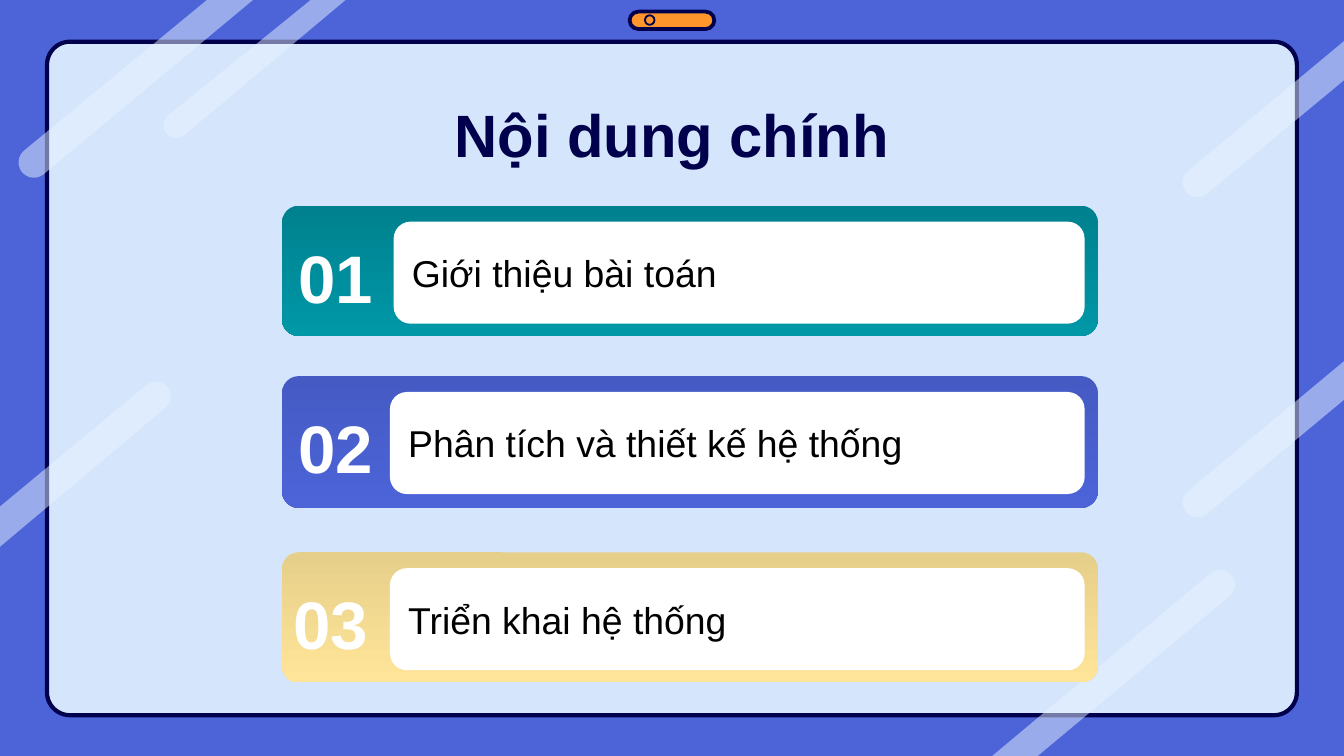
from dataclasses import dataclass
from math import cos, radians, sin

from lxml import etree
from pptx import Presentation
from pptx import util as u
from pptx.dml.color import RGBColor
from pptx.enum import shapes, text
from pptx.oxml import ns


@dataclass(frozen=True)
class Theme:
    font: str = "Arial"
    back: str = "4C64D8"
    panel: str = "D5E6FC"
    ink: str = "00004D"
    streak: str = "E9F3FF"
    pill: str = "FF952B"
    white: str = "FFFFFF"
    black: str = "000000"
    teal: tuple = ("00818F", "0097A7")
    blue: tuple = ("455AC3", "4C64D8")
    gold: tuple = ("E6CF8A", "FFE599")
    title: int = 32
    number: int = 36
    body: int = 20


def rgb(code):
    return RGBColor.from_string(code)


class Deck:
    def __init__(self, theme):
        self.theme = theme
        self.prs = Presentation()
        self.prs.slide_width = u.Cm(25.4)
        self.prs.slide_height = u.Cm(14.29)
        self.slide = self.prs.slides.add_slide(self.prs.slide_layouts[6])
        fill = self.slide.background.fill
        fill.solid()
        fill.fore_color.rgb = rgb(theme.back)

    def shape(self, kind, box, fill=None, line=None, width=1, radius=None):
        """Add a preset shape; fill is a colour, a (top, bottom) pair or None."""
        item = self.slide.shapes.add_shape(kind, *map(u.Cm, box))
        item.shadow.inherit = False
        if radius is not None:
            item.adjustments[0] = radius
        if fill is None:
            item.fill.background()
        elif isinstance(fill, tuple):
            item.fill.gradient()
            item.fill.gradient_angle = 270
            for stop, code, place in zip(item.fill.gradient_stops, fill, (0, 1)):
                stop.color.rgb = rgb(code)
                stop.position = place
        else:
            item.fill.solid()
            item.fill.fore_color.rgb = rgb(fill)
        if line:
            item.line.color.rgb = rgb(line)
            item.line.width = u.Pt(width)
        else:
            item.line.fill.background()
        return item

    def round(self, box, radius, **style):
        return self.shape(shapes.MSO_SHAPE.ROUNDED_RECTANGLE, box,
                          radius=radius, **style)

    def streak(self, x, y, r, turn, ends):
        """Add a see-through band: a half-round cap at x, y and two cut corners."""
        arc = [radians(turn + step) for step in range(0, 181, 15)]
        spots = [(x + r * cos(a), y + r * sin(a)) for a in arc] + list(ends)
        spots = [(u.Cm(left), u.Cm(top)) for left, top in spots]
        outline = self.slide.shapes.build_freeform(*spots[0], scale=1.0)
        outline.add_line_segments(spots[1:], close=True)
        item = outline.convert_to_shape()
        item.shadow.inherit = False
        item.fill.solid()
        item.fill.fore_color.rgb = rgb(self.theme.streak)
        item.line.fill.background()
        color = item._element.spPr.find(".//" + ns.qn("a:srgbClr"))
        etree.SubElement(color, ns.qn("a:alpha"), val="50000")

    def words(self, frame, line, size, color, bold=False, align="LEFT"):
        para = frame.paragraphs[0]
        para.alignment = text.PP_ALIGN[align]
        run = para.add_run()
        run.text = line
        run.font.name = self.theme.font
        run.font.size = u.Pt(size)
        run.font.bold = bold
        run.font.color.rgb = rgb(color)

    def label(self, box, line, size, color, top):
        """Add a bold centred text box with the given top inset."""
        frame = self.slide.shapes.add_textbox(*map(u.Cm, box)).text_frame
        frame.word_wrap = True
        frame.margin_top = u.Cm(top)
        frame.margin_bottom = 0
        self.words(frame, line, size, color, True, "CENTER")

    def card(self, top, high, fill, left, number, topic):
        """Add a topic bar; left is where its white field starts,
        number is (text, left, width)."""
        t = self.theme
        self.round((5.33, top, 15.42, high), 0.127, fill=fill)
        field = self.round((left, top + 0.3, 20.5 - left, 1.93), 0.167,
                           fill=t.white)
        frame = field.text_frame
        frame.word_wrap = False
        frame.vertical_anchor = text.MSO_ANCHOR.MIDDLE
        self.words(frame, topic, t.body, t.black)
        digits, x, wide = number
        self.label((x, top + 0.32, wide, 1.8), digits, t.number, t.white, 0.25)


def main():
    t = Theme()
    deck = Deck(t)
    deck.round((0.89, 0.79, 23.62, 12.73), 0.034,
               fill=t.panel, line=t.ink, width=2.25)

    rise, fall = 50, 230  # start angle of the cap at the low or the high end
    for band in (
        (0.64, 3.07, 0.29, rise, ((3.91, 0), (4.78, 0))),
        (3.33, 2.37, 0.24, rise, ((5.87, 0), (6.53, 0))),
        (23.06, 11.05, 0.28, fall, ((19.61, 14.29), (18.75, 14.29))),
        (22.63, 9.5, 0.28, rise, ((25.48, 6.76), (25.48, 7.49))),
        (22.63, 3.45, 0.28, rise, ((25.48, 0.71), (25.48, 1.45))),
        (2.95, 7.49, 0.28, fall, ((-0.03, 10.36), (-0.03, 9.6))),
    ):
        deck.streak(*band)

    deck.round((11.9, 0.22, 1.6, 0.33), 0.5, fill=t.pill, line=t.ink, width=2)
    deck.shape(shapes.MSO_SHAPE.OVAL, (12.19, 0.29, 0.18, 0.18), line=t.ink)

    deck.label((2.01, 1.47, 21.39, 1.6), "Nội dung chính", t.title, t.ink, 0.38)
    for card in (
        (3.89, 2.46, t.teal, 7.44, ("01", 5.23, 2.24), "Giới thiệu bài toán"),
        (7.11, 2.49, t.blue, 7.37, ("02", 5.33, 2.03),
         "Phân tích và thiết kế hệ thống"),
        (10.44, 2.46, t.gold, 7.37, ("03", 5.23, 2.03), "Triển khai hệ thống"),
    ):
        deck.card(*card)
    deck.prs.save("out.pptx")


if __name__ == "__main__":
    main()
